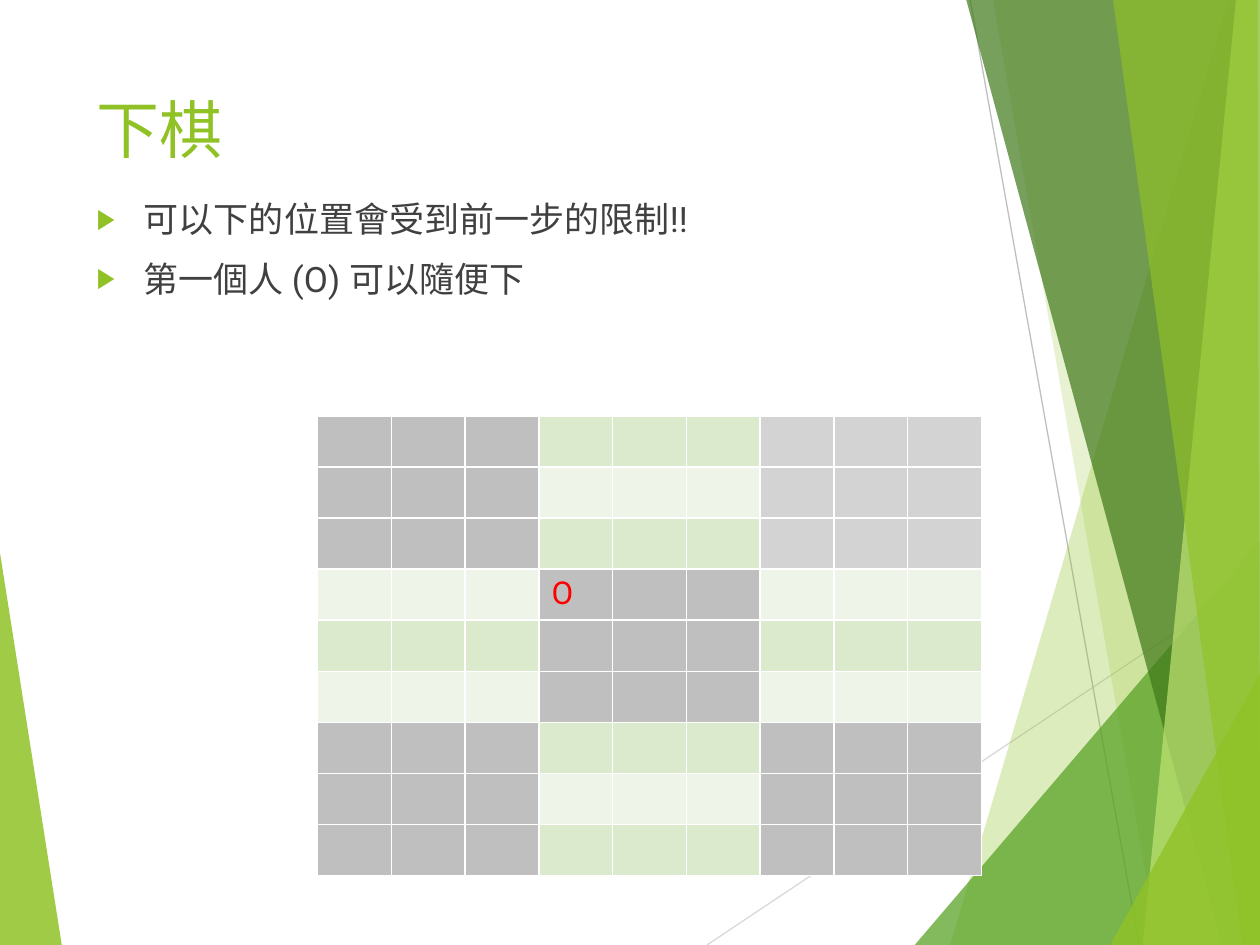
from lxml import etree
from pptx import Presentation
from pptx.dml.color import RGBColor
from pptx.enum.shapes import MSO_CONNECTOR
from pptx.enum.text import MSO_ANCHOR, MSO_AUTO_SIZE, PP_ALIGN
from pptx.oxml.ns import qn
from pptx.util import Pt

STRAIGHT = MSO_CONNECTOR.STRAIGHT
TOP = MSO_ANCHOR.TOP
FIXED = MSO_AUTO_SIZE.NONE
LEFT = PP_ALIGN.LEFT

LIME = RGBColor(0x90, 0xC2, 0x26)
GREEN = RGBColor(0x54, 0xA0, 0x21)
FOREST = RGBColor(0x3F, 0x78, 0x19)
PALE = RGBColor(0xC0, 0xE4, 0x74)
TEXT = RGBColor(0x40, 0x40, 0x40)
RED = RGBColor(0xFF, 0, 0)
WHITE = RGBColor(0xFF, 0xFF, 0xFF)
GRAY = RGBColor(0xBF, 0xBF, 0xBF)
SILVER = RGBColor(0xD3, 0xD3, 0xD3)
MIST = RGBColor(0xD9, 0xD9, 0xD9)
BANDS = (RGBColor(0xDB, 0xE9, 0xCD), RGBColor(0xEE, 0xF4, 0xE8))

WIDE, HIGH = 720, 540
FONT = "Roboto"


def add(node, tag, **attrs):
    return etree.SubElement(node, qn(tag), attrs)


class Deck:
    def __init__(self):
        self.file = Presentation()
        self.file.slide_width, self.file.slide_height = Pt(WIDE), Pt(HIGH)
        self.slide = self.file.slides.add_slide(self.file.slide_layouts[1])
        self.shapes = self.slide.shapes

    def style(self, para, size, color):
        para.alignment = LEFT
        for run in para.runs:
            run.font.name = FONT
            run.font.size = Pt(size)
            run.font.color.rgb = color

    def shard(self, points, color, alpha):
        spots = [(Pt(x), Pt(y)) for x, y in points]
        pen = self.shapes.build_freeform(*spots[0])
        pen.add_line_segments(spots[1:], close=True)
        shape = pen.convert_to_shape()
        shape.shadow.inherit = False
        shape.fill.solid()
        shape.fill.fore_color.rgb = color
        shape.line.fill.background()
        tint = shape.fill._xPr.find(".//" + qn("a:srgbClr"))
        add(tint, "a:alpha", val=str(alpha * 1000))

    def line(self, start, end, color):
        rule = self.shapes.add_connector(STRAIGHT, *map(Pt, start + end))
        rule.line.color.rgb = color
        rule.line.width = Pt(0.75)
        add(rule._element.spPr, "a:effectLst")

    def place(self, holder, box, text):
        holder.left, holder.top, holder.width, holder.height = map(Pt, box)
        frame = holder.text_frame
        frame.text = text
        frame.auto_size = FIXED
        frame.vertical_anchor = TOP
        return frame.paragraphs

    def title(self, box, text):
        for para in self.place(self.shapes.title, box, text):
            self.style(para, 36, LIME)

    def list(self, box, items):
        for para in self.place(self.slide.placeholders[1], box, "\n".join(items)):
            self.style(para, 20, TEXT)
            para.space_before = Pt(10)
            props = para._p.get_or_add_pPr()
            props.set("marL", str(Pt(27)))
            props.set("indent", str(-Pt(27)))
            add(add(props, "a:buClr"), "a:srgbClr", val=str(LIME))
            add(props, "a:buSzPct", val="80000")
            add(props, "a:buFont", typeface=FONT)
            add(props, "a:buChar", char="▶")

    def cell(self, cell, color):
        props = cell._tc.get_or_add_tcPr()
        for side in "LRTB":
            edge = add(props, "a:ln" + side, w=str(Pt(1)))
            add(add(edge, "a:solidFill"), "a:srgbClr", val=str(WHITE))
        cell.fill.solid()
        cell.fill.fore_color.rgb = color

    def board(self, box, count, shade, marks):
        table = self.shapes.add_table(count, count, *map(Pt, box)).table
        table.first_row = table.horz_banding = False
        for i in range(count):
            table.columns[i].width = Pt(box[2] / count)
            table.rows[i].height = Pt(box[3] / count)
            for j in range(count):
                self.cell(table.cell(i, j), shade(i, j))
        for (i, j), text in marks.items():
            frame = table.cell(i, j).text_frame
            frame.text = text
            self.style(frame.paragraphs[0], 18, RED)


def shade(row, col):
    block = (row // 3, col // 3)
    if block == (0, 2):
        return SILVER
    return BANDS[row % 2] if sum(block) % 2 else GRAY


def main():
    deck = Deck()
    deck.shard([(0, 316), (35.3, HIGH), (0, HIGH)], LIME, 85)
    deck.line((404, HIGH), (WIDE, 329), MIST)
    deck.line((554.4, 0), (650.9, HIGH), GRAY)
    shards = [
        ([(702, 0), (543, HIGH)], LIME, 30),
        ([(567.4, 0), (661.7, HIGH)], LIME, 20),
        ([(WIDE, 309), (522.7, HIGH)], GREEN, 72),
        ([(552.2, 0), (698.4, HIGH)], FOREST, 70),
        ([(706.3, 0), (653, HIGH)], PALE, 70),
    ]
    for edge, color, alpha in shards:
        deck.shard(edge + [(WIDE, HIGH), (WIDE, edge[0][1])], color, alpha)
    deck.shard([(636, 0), (710, HIGH), (WIDE, HIGH), (718.6, 0)], LIME, 65)
    deck.shard([(WIDE, 385), (634.5, HIGH), (WIDE, HIGH)], LIME, 80)
    deck.title((48, 48, 500, 104), "下棋")
    deck.list((48, 109.5, 561, 305),
              ["可以下的位置會受到前一步的限制!!", "第一個人 (O) 可以隨便下"])
    deck.board((181.5, 237.6, 379.4, 262.8), 9, shade, {(3, 3): "O"})
    deck.file.save("out.pptx")


if __name__ == "__main__":
    main()
